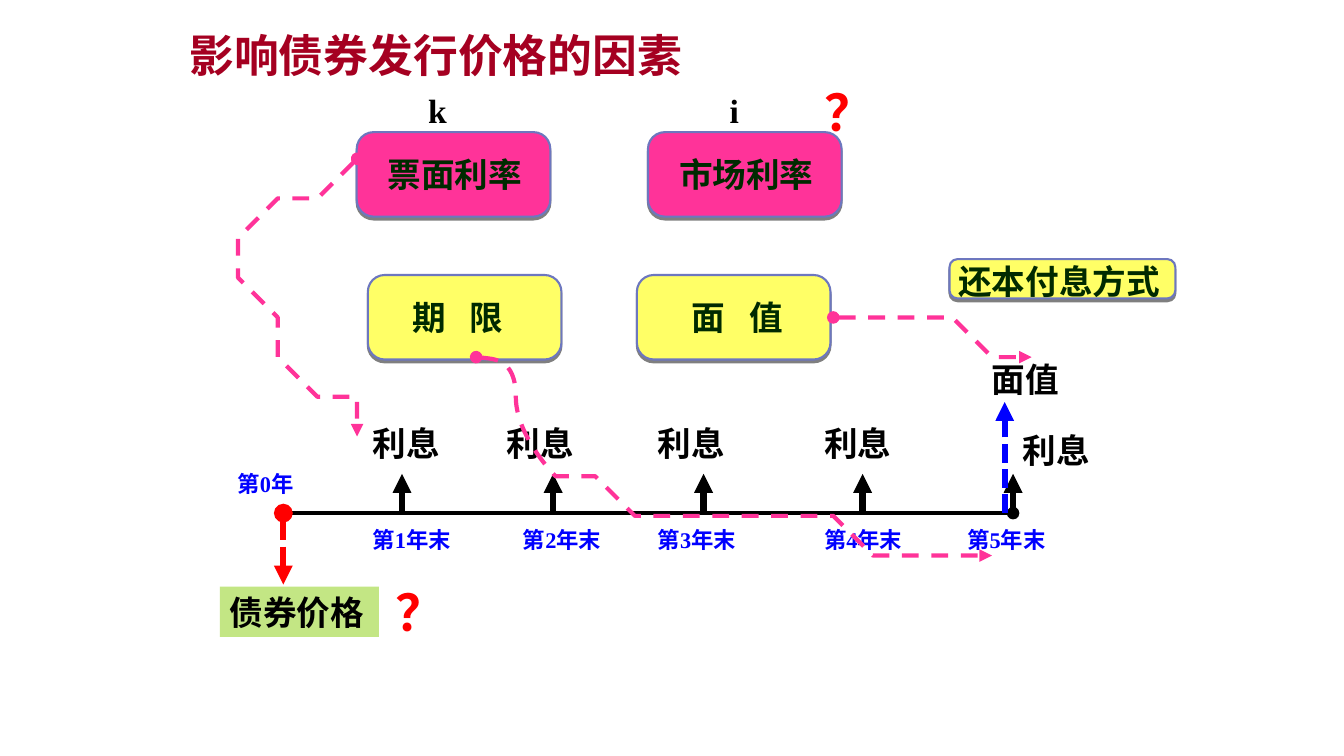
import pptx
import pptx.util
import pptx.dml.color
import pptx.enum.dml
import pptx.enum.shapes
import pptx.enum.text
import pptx.oxml
import pptx.oxml.ns

Cm, Pt = pptx.util.Cm, pptx.util.Pt
RGBColor = pptx.dml.color.RGBColor
SHAPE = pptx.enum.shapes.MSO_SHAPE
DASH = pptx.enum.dml.MSO_LINE
ANCHOR = pptx.enum.text.MSO_ANCHOR
qn = pptx.oxml.ns.qn

BLACK = RGBColor(0x00, 0x00, 0x00)
RED = RGBColor(0xFF, 0x00, 0x00)
BLUE = RGBColor(0x00, 0x00, 0xFF)
CRIMSON = RGBColor(0xA5, 0x00, 0x21)
PINK = RGBColor(0xFF, 0x33, 0x99)
YELLOW = RGBColor(0xFF, 0xFF, 0x66)
GREEN = RGBColor(0xC3, 0xE6, 0x84)
DARK_GREEN = RGBColor(0x00, 0x2A, 0x00)
OUTLINE = RGBColor(0x6D, 0x77, 0xBF)
LATIN_FONT, CHINESE_FONT = "Times New Roman", "Noto Sans CJK SC"

# Content, lengths in centimetres
TITLE = "影响债券发行价格的因素"
# text, left, top, fill, text indent, letter spacing in points
FACTORS = [
    ("票面利率", 8.99, 3.33, PINK, 0.66, 0),
    ("市场利率", 16.33, 3.33, PINK, 0.66, 0),
    ("期 限", 9.27, 6.93, YELLOW, 0.99, 6),
    ("面 值", 16.05, 6.93, YELLOW, 1.26, 6),
]
# arrow position, interest label left and top, year label left
YEARS = [
    (10.13, 9.14, 10.52, 9.14),
    (13.94, 12.52, 10.52, 12.93),
    (17.73, 16.33, 10.52, 16.33),
    (21.74, 20.52, 10.52, 20.52),
    (25.53, 25.53, 10.72, 24.13),
]
# text, left, top, width, height, size, colour
LABELS = [
    ("面值", 24.74, 8.92, 2.39, 1.27, 24, BLACK),
    ("第0年", 5.74, 11.73, 2.79, 0.94, 16, BLUE),
    ("k", 10.54, 2.13, 2.21, 1.27, 24, BLACK),
    ("i", 18.14, 2.13, 2.21, 1.27, 24, BLACK),
    ("？", 9.73, 14.53, 3, 1.78, 36, RED),
    ("？", 20.52, 1.93, 3, 1.78, 36, RED),
]
COUPON_CURVE = [
    (8.71, 4.5), (7.7, 4.55), (7.16, 4.85), (6.73, 5.46), (6.45, 6.35),
    (6.5, 7.39), (6.71, 8), (6.88, 8.66), (7.47, 9.37), (7.87, 9.75),
    (8.18, 9.98), (8.64, 10.39), (9.07, 10.67), (9.47, 10.92),
]
FACE_VALUE_CURVE = [
    (21.01, 8), (22.02, 8.03), (22.86, 8.13), (23.7, 8.28), (24.28, 8.48),
    (24.84, 8.71), (25.32, 8.89), (25.93, 9.17),
]
TERM_CURVE = [
    (11.94, 9.12), (12.83, 10.4), (13.77, 11.61), (14.55, 12.37),
    (15.8, 12.65), (18.31, 12.9), (19.66, 13.26), (20.6, 13.36),
    (22.15, 13.64), (23.8, 13.72), (25.15, 13.92),
]
START, END, AXIS = 7.14, 25.53, 12.93

presentation = pptx.Presentation()
presentation.slide_width, presentation.slide_height = Cm(33.87), Cm(19.05)
slide = presentation.slides.add_slide(presentation.slide_layouts[6])


def write(shape, text, size, color, latin=LATIN_FONT, spacing=0):
    shape.text_frame.text = text
    paragraph = shape.text_frame.paragraphs[0]
    paragraph.alignment = pptx.enum.text.PP_ALIGN.LEFT
    run = paragraph.runs[0]
    run.font.size, run.font.bold, run.font.name = Pt(size), True, latin
    run.font.color.rgb = color
    properties = run.font._element
    if spacing:
        properties.set("spc", str(spacing * 100))
    east_asian = pptx.oxml.parse_xml(
        f'<a:ea {pptx.oxml.ns.nsdecls("a")} typeface="{CHINESE_FONT}"/>')
    properties.find(qn("a:latin")).addnext(east_asian)


def add_label(text, left, top, width, height, size, color, **options):
    box = slide.shapes.add_textbox(Cm(left), Cm(top), Cm(width), Cm(height))
    box.text_frame.word_wrap = True
    write(box, text, size, color, **options)
    return box


def add_box(left, top, width, height, fill):
    box = slide.shapes.add_shape(SHAPE.ROUNDED_RECTANGLE, Cm(left), Cm(top), Cm(width), Cm(height))
    box.adjustments[0] = 0.2
    box.fill.solid()
    box.fill.fore_color.rgb = fill
    box.line.color.rgb, box.line.width = OUTLINE, Pt(1.5)
    box.shadow.inherit = False
    box._element.spPr.find(qn("a:effectLst")).append(pptx.oxml.parse_xml(
        f'<a:outerShdw {pptx.oxml.ns.nsdecls("a")} blurRad="0" dist="25400" dir="5400000">'
        '<a:srgbClr val="000000"><a:alpha val="50000"/></a:srgbClr></a:outerShdw>'))
    return box


def style_line(shape, color, width, head=None, tail=None, dash=None):
    shape.line.color.rgb, shape.line.width = color, Pt(width)
    if dash:
        shape.line.dash_style = dash
    line = shape.line._get_or_add_ln()
    for tag, kind in (("a:headEnd", head), ("a:tailEnd", tail)):
        if kind:
            line.append(line.makeelement(qn(tag), {"type": kind}))


def add_line(x1, y1, x2, y2, color, width, **options):
    connector = slide.shapes.add_connector(
        pptx.enum.shapes.MSO_CONNECTOR.STRAIGHT, Cm(x1), Cm(y1), Cm(x2), Cm(y2))
    style_line(connector, color, width, **options)
    properties = connector._element.spPr
    properties.append(properties.makeelement(qn("a:effectLst"), {}))


def add_curve(points):
    builder = slide.shapes.build_freeform(*points[0], scale=Cm(1))
    builder.add_line_segments(points[1:], close=False)
    curve = builder.convert_to_shape()
    curve.fill.background()
    curve.shadow.inherit = False
    style_line(curve, PINK, 3, "oval", "triangle", DASH.DASH)

    # Turn the segments into a smooth spline through the same points
    nodes = list(curve._element.iter(qn("a:pt")))
    spots = [(int(node.get("x")), int(node.get("y"))) for node in nodes]
    padded = [spots[0], *spots, spots[-1]]
    for index, node in enumerate(nodes[1:]):
        before, start, end, after = padded[index:index + 4]
        controls = (
            [s + (e - b) / 6 for b, s, e in zip(before, start, end)],
            [e - (a - s) / 6 for s, e, a in zip(start, end, after)],
        )
        segment = node.getparent()
        bezier = segment.makeelement(qn("a:cubicBezTo"), {})
        for x, y in controls:
            bezier.append(segment.makeelement(
                qn("a:pt"), {"x": str(round(x)), "y": str(round(y))}))
        segment.getparent().replace(segment, bezier)
        bezier.append(node)


# Title
title = add_label(TITLE, 4.52, 0.13, 20.6, 2.11, 32, CRIMSON, latin=CHINESE_FONT)
title.text_frame.paragraphs[0].line_spacing = 1.3
title.text_frame.vertical_anchor = ANCHOR.MIDDLE

# Factor boxes
for text, left, top, fill, indent, spacing in FACTORS:
    factor = add_box(left, top, 4.88, 2.13, fill)
    factor.text_frame.margin_left, factor.text_frame.margin_right = Cm(indent), 0
    factor.text_frame.vertical_anchor = ANCHOR.MIDDLE
    write(factor, text, 24, DARK_GREEN, spacing=spacing)

# Timeline with yearly interest
add_line(START, AXIS, END, AXIS, BLACK, 3, head="oval", tail="oval")
for year, (x, interest_left, interest_top, year_left) in enumerate(YEARS, 1):
    add_line(x, AXIS, x, 11.94, BLACK, 4.5, tail="triangle")
    add_label("利息", interest_left, interest_top, 2.39, 1.27, 24, BLACK)
    add_label(f"第{year}年末", year_left, 13.13, 2.79, 0.94, 16, BLUE)

# Principal and price arrows
add_line(25.32, AXIS, 25.32, 10.13, BLUE, 4.5, tail="triangle", dash=DASH.SQUARE_DOT)
add_line(START, AXIS, START, 14.73, RED, 4.5, head="oval", tail="triangle", dash=DASH.SQUARE_DOT)

# Bond price and remaining labels
price = add_label("债券价格", 5.54, 14.78, 4.01, 1.27, 24, BLACK)
price.fill.solid()
price.fill.fore_color.rgb = GREEN
for label in LABELS:
    add_label(*label)

# Curves from the factors to the timeline
for points in (COUPON_CURVE, FACE_VALUE_CURVE, TERM_CURVE):
    add_curve(points)

# Repayment method
add_box(23.93, 6.53, 5.69, 0.99, YELLOW)
add_label("还本付息方式", 23.9, 6.45, 5.72, 1.27, 24, DARK_GREEN)

presentation.save("out.pptx")
